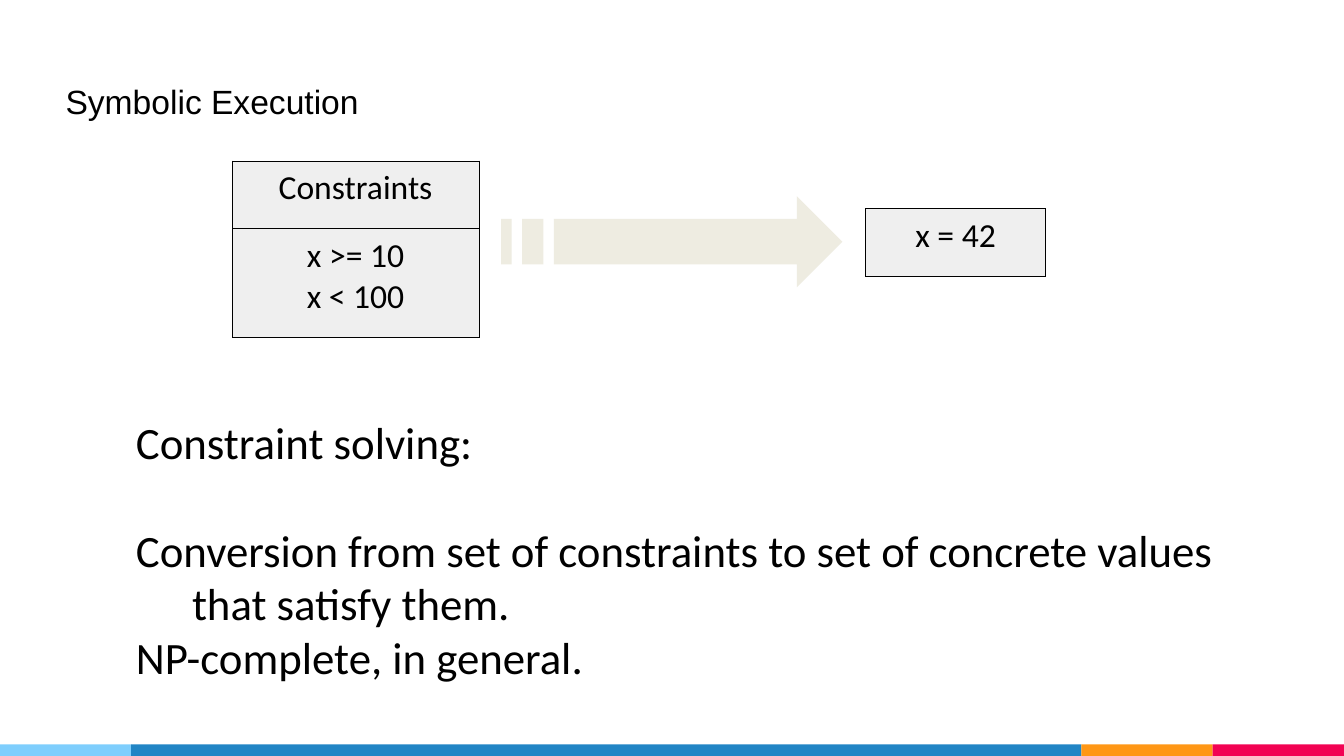
from lxml import etree
from pptx import Presentation
from pptx import util as u
from pptx.dml.color import RGBColor
from pptx.enum import shapes, text
from pptx.oxml.ns import qn

Cm, Pt = u.Cm, u.Pt


def tint(part, hue):
    """Give a fill one solid colour."""
    part.solid()
    part.fore_color.rgb = RGBColor.from_string(hue)


def write(para, words, size, face="Calibri"):
    """Add one black run to a paragraph."""
    run = para.add_run()
    run.text = words
    run.font.size = Pt(size)
    run.font.name = face
    tint(run.font.fill, "000000")


deck = Presentation()
deck.slide_width, deck.slide_height = Cm(25.4), Cm(14.29)
slide = deck.slides.add_slide(deck.slide_layouts[6])
items = slide.shapes

# Colour strip along the bottom edge
left = 0
for wide, hue in [(2.48, "7ECEFD"), (17.96, "2185C5"),
                  (2.48, "FF9715"), (2.48, "F20253")]:
    bar = items.add_shape(shapes.MSO_SHAPE.RECTANGLE,
                          Cm(left), Cm(14.07), Cm(wide), Cm(0.22))
    bar.shadow.inherit = False
    tint(bar.fill, hue)
    bar.line.fill.background()
    left += wide

# Title and body boxes, both resting on their lower edge
frames = []
for x, y, wide, high, foot in [(0.99, 0.15, 17.96, 2.39, 0.25),
                               (0.84, 2.34, 23.7, 11.86, 1.28)]:
    frame = items.add_textbox(Cm(x), Cm(y), Cm(wide), Cm(high)).text_frame
    frame.word_wrap = True
    frame.vertical_anchor = text.MSO_ANCHOR.BOTTOM
    frame.margin_left = frame.margin_right = frame.margin_top = Cm(0.25)
    frame.margin_bottom = Cm(foot)
    frames.append(frame)
title, body = frames

title.paragraphs[0].line_spacing = 1.15
write(title.paragraphs[0], "Symbolic Execution", 18, "Arial")

# Body paragraphs with a hanging indent
notes = [
    ("Constraint solving:", 0),
    ("Conversion from set of constraints to set of concrete values "
     "that satisfy them.", 29),
    ("NP-complete, in general.", 0),
]
for n, (words, gap) in enumerate(notes):
    para = body.add_paragraph() if n else body.paragraphs[0]
    para.space_before = Pt(gap)
    props = para._p.get_or_add_pPr()
    props.set("marL", str(Cm(2.54)))
    props.set("indent", str(Cm(-1.06)))
    write(para, words, 24)

# Constraint table and solution table: rows of (height, lines)
grids = [
    (4.39, 3.04, 4.66, [(1.28, ["Constraints"]),
                        (2.06, ["x >= 10", "x < 100"])]),
    (16.36, 3.94, 3.4, [(1.28, ["x = 42"])]),
]
for x, y, wide, rows in grids:
    high = sum(row[0] for row in rows)
    grid = items.add_table(len(rows), 1, Cm(x), Cm(y), Cm(wide), Cm(high)).table
    grid.first_row = grid.horz_banding = False
    for n, (tall, lines) in enumerate(rows):
        grid.rows[n].height = Cm(tall)
        cell = grid.cell(n, 0)
        # Thin black border on all four sides
        props = cell._tc.get_or_add_tcPr()
        for side in ("lnL", "lnR", "lnT", "lnB"):
            edge = etree.SubElement(props, qn("a:" + side), w=str(Pt(0.34)))
            solid = etree.SubElement(edge, qn("a:solidFill"))
            etree.SubElement(solid, qn("a:srgbClr"), val="000000")
        tint(cell.fill, "EFEFEF")
        for k, words in enumerate(lines):
            frame = cell.text_frame
            para = frame.add_paragraph() if k else frame.paragraphs[0]
            para.alignment = text.PP_ALIGN.CENTER
            write(para, words, 18)

# Striped arrow: two stripes, then the shaft with its head
x, y, step, part = 9.47, 3.71, 0.2, 0.43
top, low = y + part, y + 3 * part
neck, tip = 15.06, 15.92
tail = x + 5 * step
parts = [[(tail, top), (neck, top), (neck, y), (tip, y + 2 * part),
          (neck, y + 4 * part), (neck, low), (tail, low)]]
for a, b in [(0, 1), (2, 4)]:
    a, b = x + a * step, x + b * step
    parts.append([(a, top), (b, top), (b, low), (a, low)])
pen = items.build_freeform(scale=1.0)
for spots in parts:
    spots = [(Cm(a), Cm(b)) for a, b in spots]
    pen.move_to(*spots[0])
    pen.add_line_segments(spots[1:], close=True)
arrow = pen.convert_to_shape()
arrow.shadow.inherit = False
tint(arrow.fill, "EEECE1")
arrow.line.fill.background()

deck.save("out.pptx")
